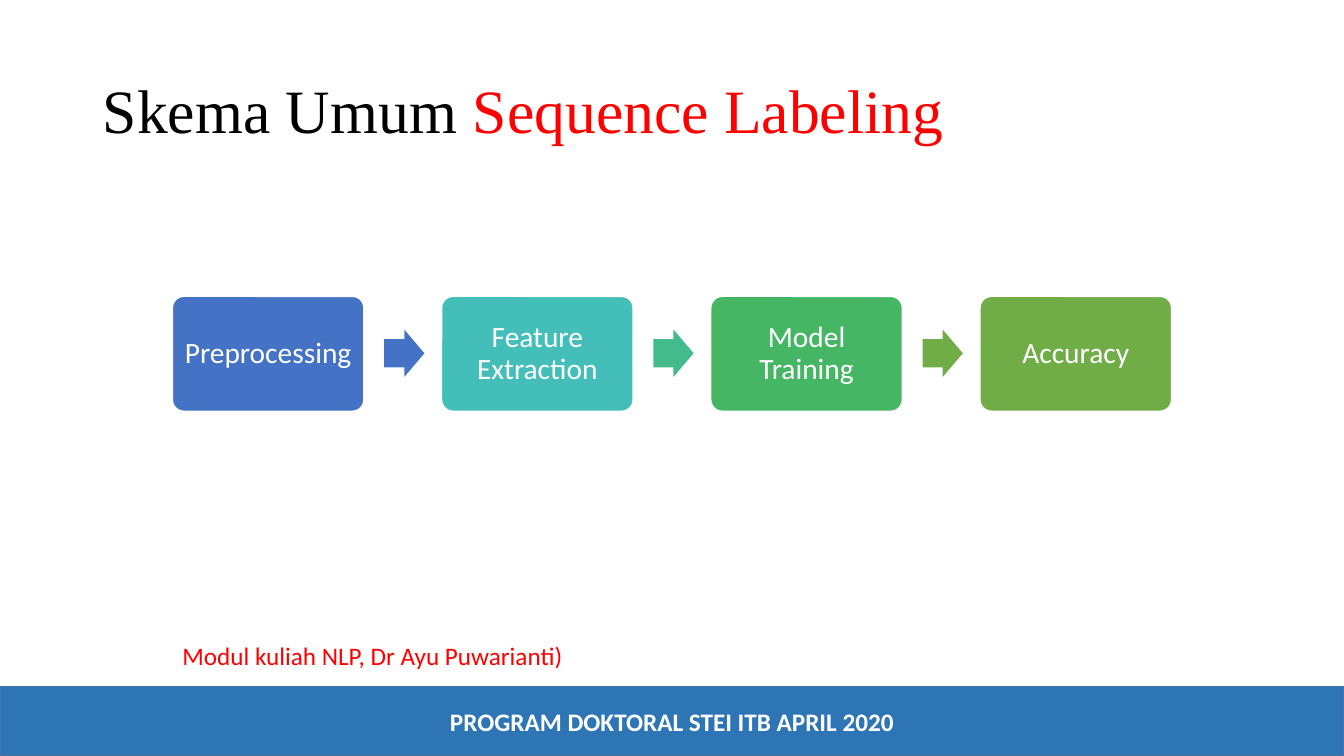
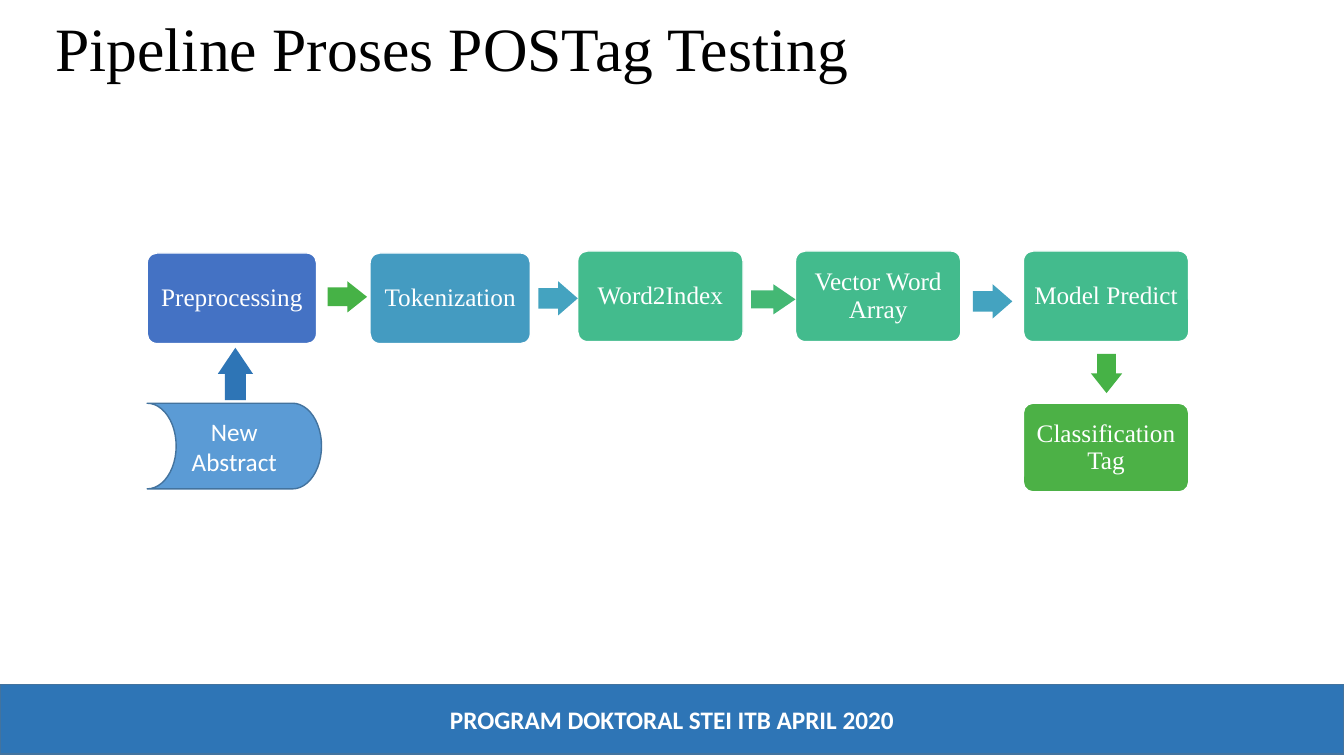
import pptx
import pptx.util
import pptx.dml.color
import pptx.enum.shapes
import pptx.enum.text

Inches = pptx.util.Inches
Pt = pptx.util.Pt
SHAPE = pptx.enum.shapes.MSO_SHAPE
ALIGN = pptx.enum.text.PP_ALIGN
ANCHOR = pptx.enum.text.MSO_ANCHOR
AUTO_SIZE = pptx.enum.text.MSO_AUTO_SIZE

SERIF = "Times New Roman"
SANS = "Calibri"
WHITE = "FFFFFF"
BLACK = "000000"
RED = "FF0000"
BLUE = "4472C4"
BAND_BLUE = "2E75B6"
OUTLINE_BLUE = "43739E"
TEAL = "43BB8D"
SKY = "44A3C0"
GREEN = "46B246"
OLIVE = "70AD47"


def color(value):
    return pptx.dml.color.RGBColor.from_string(value)


def add_block(slide, kind, box, fill, outline=None, text="", font=SANS, size=18, inset=0.1):
    shape = slide.shapes.add_shape(kind, *[Inches(length) for length in box])
    shape.shadow.inherit = False
    shape.fill.solid()
    shape.fill.fore_color.rgb = color(fill)
    if outline:
        shape.line.color.rgb = color(outline)
        shape.line.width = Pt(1)
    else:
        shape.line.fill.background()
    if text:
        frame = shape.text_frame
        frame.text = text
        frame.word_wrap = True
        frame.vertical_anchor = ANCHOR.MIDDLE
        frame.margin_left = frame.margin_right = Inches(inset)
        paragraph = frame.paragraphs[0]
        paragraph.alignment = ALIGN.CENTER
        paragraph.font.name = font
        paragraph.font.size = Pt(size)
        paragraph.font.color.rgb = color(WHITE)
    return shape


presentation = pptx.Presentation()
presentation.slide_width = Inches(13.33)
presentation.slide_height = Inches(7.5)

pages = [
    ([("Skema Umum ", BLACK), ("Sequence Labeling", RED)], (0.92, 0.4, 11.5, 1.45), 6.81),
    ([("Pipeline Proses POSTag Testing", BLACK)], (0.45, 0.01, 11.5, 1), 6.79),
]
slides = []
for title_runs, title_box, band_top in pages:
    slide = presentation.slides.add_slide(presentation.slide_layouts[5])
    title = slide.shapes.title
    title.left, title.top, title.width, title.height = [Inches(length) for length in title_box]
    title.text_frame.auto_size = AUTO_SIZE.NONE
    title.text_frame.vertical_anchor = ANCHOR.MIDDLE
    paragraph = title.text_frame.paragraphs[0]
    paragraph.alignment = ALIGN.LEFT
    paragraph.line_spacing = 0.9
    for text, shade in title_runs:
        run = paragraph.add_run()
        run.text = text
        run.font.name = SERIF
        run.font.size = Pt(44)
        run.font.color.rgb = color(shade)
    band = add_block(slide, SHAPE.RECTANGLE, (0, band_top, 13.33, 0.69), BAND_BLUE,
                     OUTLINE_BLUE, "PROGRAM DOKTORAL STEI ITB APRIL 2020")
    band.text_frame.paragraphs[0].font.bold = True
    slides.append(slide)
scheme_slide, pipeline_slide = slides

scheme_steps = [
    ("Preprocessing", BLUE, BLUE),
    ("Feature Extraction", "43BEB9", TEAL),
    ("Model Training", "45B664", OLIVE),
    ("Accuracy", OLIVE, None),
]
for index, (label, fill, arrow_fill) in enumerate(scheme_steps):
    left = 1.71 + 2.67 * index
    card = add_block(scheme_slide, SHAPE.ROUNDED_RECTANGLE, (left, 2.94, 1.9, 1.14),
                     fill, WHITE, label, size=21, inset=0.09)
    card.adjustments[0] = 0.1
    card.text_frame.paragraphs[0].line_spacing = 0.9
    if arrow_fill:
        arrow = add_block(scheme_slide, SHAPE.RIGHT_ARROW, (left + 2.1, 3.27, 0.4, 0.47), arrow_fill)
        arrow.adjustments[0] = 0.6

caption = scheme_slide.shapes.add_textbox(Inches(1.71), Inches(6.3), Inches(4.02), Inches(0.4))
caption.text_frame.text = "Modul kuliah NLP, Dr Ayu Puwarianti)"
caption.text_frame.word_wrap = False
caption_font = caption.text_frame.paragraphs[0].font
caption_font.name = SANS
caption_font.size = Pt(18)
caption_font.color.rgb = color(RED)

pipeline_steps = [
    ("Preprocessing", (1.46, 2.51, 1.68, 0.9), BLUE),
    ("Tokenization", (3.67, 2.51, 1.59, 0.9), "449BC1"),
    ("Word2Index", (5.73, 2.49, 1.64, 0.9), TEAL),
    ("Vector Word Array", (7.89, 2.49, 1.64, 0.9), TEAL),
    ("Model Predict", (10.15, 2.49, 1.64, 0.9), TEAL),
    ("Classification Tag", (10.15, 4, 1.64, 0.88), "4CB146"),
]
for label, box, fill in pipeline_steps:
    card = add_block(pipeline_slide, SHAPE.ROUNDED_RECTANGLE, box, fill, WHITE, label, SERIF, inset=0.07)
    card.adjustments[0] = 0.11
    card.text_frame.paragraphs[0].line_spacing = 0.9

pipeline_arrows = [
    (SHAPE.RIGHT_ARROW, (3.25, 2.79, 0.39, 0.31), GREEN),
    (SHAPE.RIGHT_ARROW, (5.34, 2.79, 0.39, 0.34), SKY),
    (SHAPE.RIGHT_ARROW, (7.45, 2.82, 0.44, 0.3), "44B874"),
    (SHAPE.RIGHT_ARROW, (9.65, 2.82, 0.39, 0.34), SKY),
    (SHAPE.UP_ARROW, (2.16, 3.45, 0.35, 0.52), BAND_BLUE),
    (SHAPE.DOWN_ARROW, (10.82, 3.51, 0.31, 0.39), GREEN),
]
for kind, box, fill in pipeline_arrows:
    arrow = add_block(pipeline_slide, kind, box, fill)
    arrow.adjustments[0] = 0.6
    arrow.adjustments[1] = max(box[2:]) / min(box[2:]) / 2

storage = add_block(pipeline_slide, SHAPE.FLOWCHART_STORED_DATA, (1.46, 4, 1.73, 0.85),
                    "5B9BD5", OUTLINE_BLUE, "New Abstract")
storage._element.spPr.xfrm.set("flipH", "1")

presentation.save("out.pptx")
